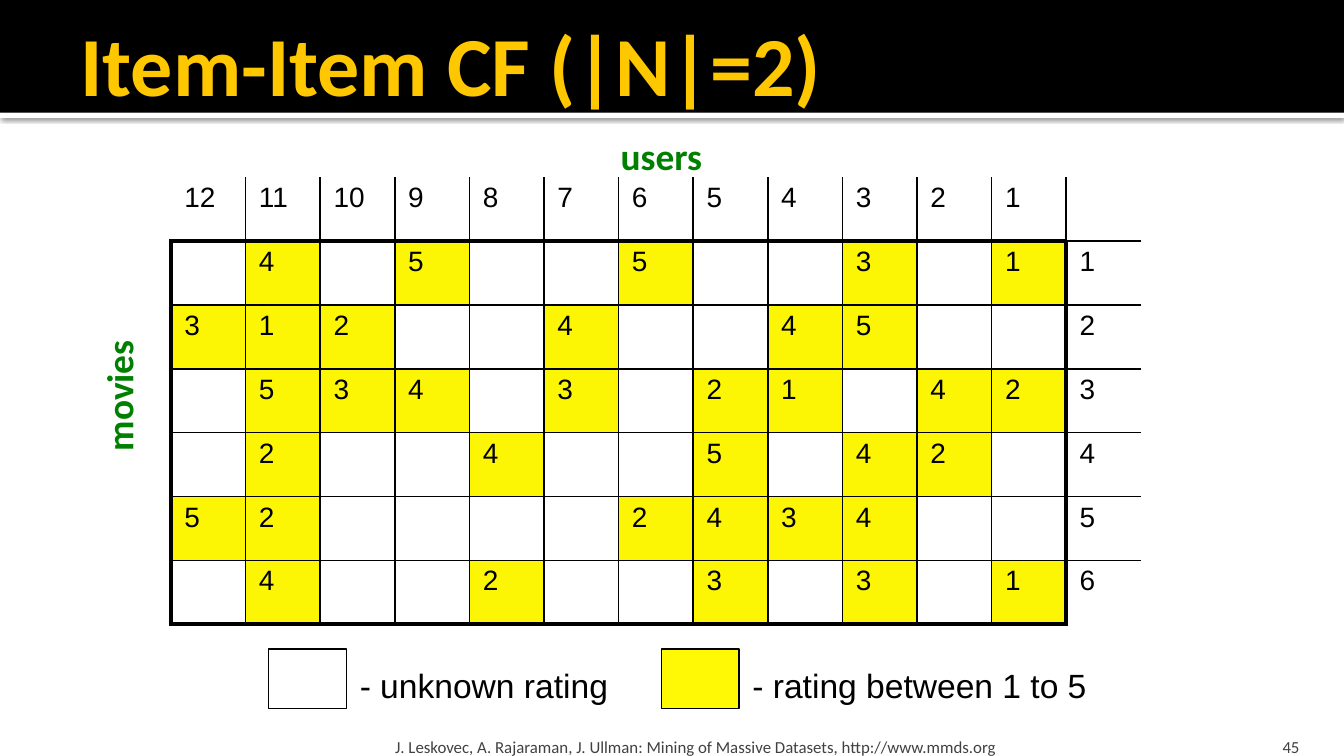
from dataclasses import dataclass

from lxml.etree import SubElement
from pptx import Presentation
from pptx.dml.color import RGBColor
from pptx.enum.shapes import MSO_SHAPE
from pptx.enum.text import MSO_ANCHOR, MSO_AUTO_SIZE, PP_ALIGN
from pptx.oxml import parse_xml
from pptx.oxml.ns import nsdecls, qn
from pptx.util import Cm, Pt

TITLE = "Item-Item CF (|N|=2)"
USERS = [12, 11, 10, 9, 8, 7, 6, 5, 4, 3, 2, 1]
RATINGS = [
    ". 4 . 5 . . 5 . . 3 . 1",
    "3 1 2 . . 4 . . 4 5 . .",
    ". 5 3 4 . 3 . 2 1 . 4 2",
    ". 2 . . 4 . . 5 . 4 2 .",
    "5 2 . . . . 2 4 3 4 . .",
    ". 4 . . 2 . . 3 . 3 . 1",
]
CREDIT = "J. Leskovec, A. Rajaraman, J. Ullman: Mining of Massive Datasets, http://www.mmds.org"
PAGE_NUMBER = "45"


@dataclass(frozen=True)
class Theme:
    heading: str = "Calibri"
    body: str = "Arial"
    black: str = "000000"
    white: str = "FFFFFF"
    gold: str = "FFC700"
    green: str = "008000"
    gray: str = "414141"
    rated: str = "FCF604"
    legend_rated: str = "FFF905"
    title_size: float = 45
    axis_size: float = 20
    legend_size: float = 18
    cell_size: float = 15
    footer_size: float = 9
    thin: float = 1
    thick: float = 2.25


THEME = Theme()
LEGEND = [
    ("- unknown rating", THEME.white, 5.08, 5.51),
    ("- rating between 1 to 5", THEME.legend_rated, 12.5, 7.42),
]


def write(frame, text, font, size, color, bold=False, align=PP_ALIGN.LEFT):
    para = frame.paragraphs[0]
    para.alignment = align
    span = para.add_run()
    span.text = text
    span.font.name = font
    span.font.size = Pt(size)
    span.font.bold = bold
    span.font.color.rgb = RGBColor.from_string(color)


def add_text(page, place, *style, anchor=MSO_ANCHOR.TOP, **options):
    box = page.shapes.add_textbox(*map(Cm, place))
    box.text_frame.word_wrap = True
    box.text_frame.vertical_anchor = anchor
    write(box.text_frame, *style, **options)
    return box


def add_rectangle(page, place, fill, line=None):
    box = page.shapes.add_shape(MSO_SHAPE.RECTANGLE, *map(Cm, place))
    box.shadow.inherit = False
    box.fill.solid()
    box.fill.fore_color.rgb = RGBColor.from_string(fill)
    if line:
        box.line.color.rgb = RGBColor.from_string(line)
        box.line.width = Pt(0.75)
    else:
        box.line.fill.background()
    return box


def add_header(page):
    strip = add_rectangle(page, (0, 2.13, 25.4, 0.1), THEME.white)
    effects = strip._element.spPr.find(qn("a:effectLst"))
    effects.append(parse_xml(
        f'<a:outerShdw {nsdecls("a")} blurRad="{Pt(2.5)}" dist="{Pt(0.8)}" dir="5400000">'
        f'<a:srgbClr val="{THEME.black}"><a:alpha val="60000"/></a:srgbClr></a:outerShdw>'
    ))
    add_rectangle(page, (0, 0, 25.4, 2.13), THEME.black)

    title = page.shapes.title
    title._element.getparent().append(title._element)
    title.left, title.top, title.width, title.height = map(Cm, (1.27, 0, 22.86, 2.39))
    frame = title.text_frame
    frame.auto_size = MSO_AUTO_SIZE.NONE
    frame.vertical_anchor = MSO_ANCHOR.MIDDLE
    frame.margin_left, frame.margin_right = Cm(0.25), Cm(0.13)
    write(frame, TITLE, THEME.heading, THEME.title_size, THEME.gold, bold=True)


def edge_width(edge, last_thick, end, inside):
    if inside and edge in last_thick:
        return THEME.thick
    return 0 if edge in (0, end) else THEME.thin


def set_borders(cell, row, column):
    across = column < len(USERS)
    down = row > 0
    sides, levels = (0, len(USERS)), (1, len(RATINGS) + 1)
    widths = {
        "lnL": edge_width(column, sides, len(USERS) + 1, down),
        "lnR": edge_width(column + 1, sides, len(USERS) + 1, down),
        "lnT": edge_width(row, levels, len(RATINGS) + 1, across),
        "lnB": edge_width(row + 1, levels, len(RATINGS) + 1, across),
    }
    properties = cell._tc.get_or_add_tcPr()
    for position, (side, width) in enumerate(widths.items()):
        line = parse_xml(f'<a:{side} {nsdecls("a")} w="{Pt(width)}"/>')
        if width:
            fill = SubElement(line, qn("a:solidFill"))
            SubElement(fill, qn("a:srgbClr"), val=THEME.black)
        else:
            SubElement(line, qn("a:noFill"))
        properties.insert(position, line)


def add_ratings(page):
    rows = [[str(user) for user in USERS] + [""]]
    for number, ratings in enumerate(RATINGS, 1):
        rows.append([value.strip(".") for value in ratings.split()] + [str(number)])
    place = map(Cm, (3.23, 3.35, 18.34, 8.45))
    table = page.shapes.add_table(len(rows), len(rows[0]), *place).table
    table.first_row = table.horz_banding = False
    for row, values in enumerate(rows):
        for column, value in enumerate(values):
            cell = table.cell(row, column)
            cell.margin_top = cell.margin_bottom = Cm(0.1)
            if value:
                write(cell.text_frame, value, THEME.body, THEME.cell_size, THEME.black)
            if value and row > 0 and column < len(USERS):
                cell.fill.solid()
                cell.fill.fore_color.rgb = RGBColor.from_string(THEME.rated)
            else:
                cell.fill.background()
            set_borders(cell, row, column)


def add_labels(page):
    axis = (THEME.heading, THEME.axis_size, THEME.green)
    add_text(page, (11.48, 2.39, 2.11, 0.84), "users", *axis, bold=True)
    movies = add_text(page, (0.71, 6.71, 3.05, 1.09), "movies", *axis, bold=True)
    movies.rotation = 270

    swatch = 1.47
    for label, fill, left, width in LEGEND:
        add_rectangle(page, (left, 12.27, swatch, 1.12), fill, THEME.black)
        add_text(page, (left + swatch, 12.45, width, 0.76), label,
                 THEME.body, THEME.legend_size, THEME.black)

    footer = [
        (PAGE_NUMBER, 22.78, 2.03, 0.25, PP_ALIGN.RIGHT),
        (CREDIT, 7.34, 15.29, 0.13, PP_ALIGN.LEFT),
    ]
    for text, left, width, margin, align in footer:
        box = add_text(page, (left, 13.72, width, 0.58), text, THEME.heading,
                       THEME.footer_size, THEME.gray, anchor=MSO_ANCHOR.BOTTOM, align=align)
        box.text_frame.margin_left = box.text_frame.margin_right = Cm(margin)
        box.text_frame.margin_bottom = 0


def main():
    deck = Presentation()
    deck.slide_width, deck.slide_height = Cm(25.4), Cm(14.29)
    page = deck.slides.add_slide(deck.slide_layouts.get_by_name("Title Only"))
    add_header(page)
    add_ratings(page)
    add_labels(page)
    deck.save("out.pptx")


if __name__ == "__main__":
    main()
